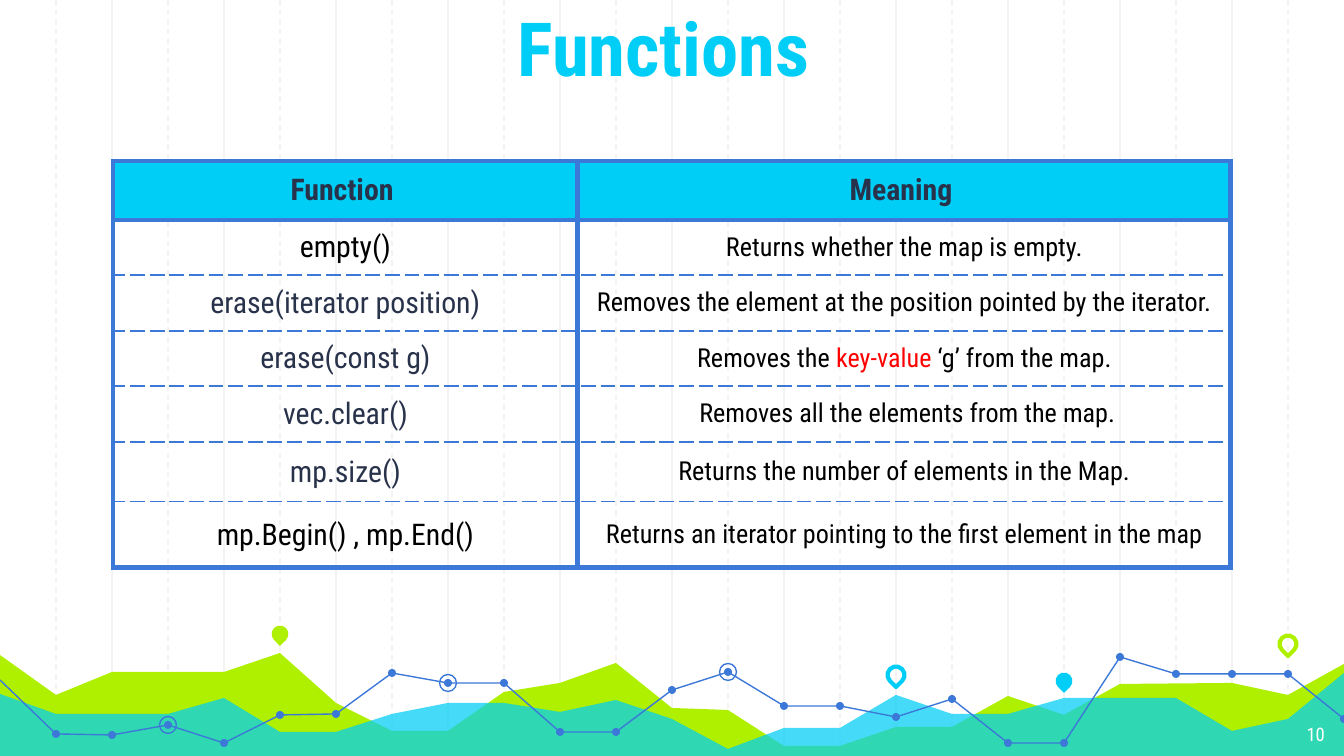
from lxml import etree
from pptx import Presentation
from pptx.dml.color import RGBColor
from pptx.enum.dml import MSO_LINE
from pptx.enum.shapes import MSO_CONNECTOR, MSO_SHAPE
from pptx.enum.text import MSO_ANCHOR, MSO_AUTO_SIZE, PP_ALIGN
from pptx.oxml.ns import qn
from pptx.util import Pt

SCALE = 914400 / 134.4  # EMU per px
WIDTH, HEIGHT = 1344, 756
STEP = 56  # distance between the vertical grid lines
BOTTOM = 759
FONT = "Roboto Condensed"

CYAN = RGBColor(0x00, 0xCE, 0xF6)
LIME = RGBColor(0xAF, 0xF0, 0x00)
BLUE = RGBColor(0x3C, 0x78, 0xD8)
NAVY = RGBColor(0x28, 0x32, 0x4A)
PALE = RGBColor(0xF3, 0xF3, 0xF3)
BLACK = RGBColor(0x00, 0x00, 0x00)
RED = RGBColor(0xFF, 0x00, 0x00)
WHITE = RGBColor(0xFF, 0xFF, 0xFF)

DASH = MSO_LINE.DASH
STRAIGHT = MSO_CONNECTOR.STRAIGHT
OVAL, TEARDROP = MSO_SHAPE.OVAL, MSO_SHAPE.TEAR
CENTER, RIGHT = PP_ALIGN.CENTER, PP_ALIGN.RIGHT
MIDDLE, LOW, TOP = MSO_ANCHOR.MIDDLE, MSO_ANCHOR.BOTTOM, MSO_ANCHOR.TOP

# Heights by grid step
LIME_HILLS = {0: 655, 1: 695, 2: 672, 4: 672, 5: 653, 6: 703, 7: 731, 8: 731,
              9: 692, 10: 683, 11: 663, 12: 708, 13: 710, 14: 746, 15: 746,
              16: 727, 17: 727, 18: 696, 19: 715, 20: 684, 22: 683, 23: 695,
              24: 664}
CYAN_HILLS = {0: 694, 1: 714, 3: 714, 4: 698, 5: 732, 6: 732, 7: 714, 8: 703,
              9: 703, 10: 712, 11: 700, 12: 719, 13: 749, 14: 728, 15: 728,
              16: 695, 17: 714, 18: 714, 19: 698, 21: 698, 22: 731, 23: 719,
              24: 673}
TREND = [680, 734, 735, 725, 743, 715, 714, 673, 683, 683, 732, 732, 690, 672,
         706, 706, 717, 699, 743, 743, 657, 674, 674, 674, 719]
TREND_PARTS = [(0, 11), (11, 20), (20, 24)]
RINGED = [3, 8, 13]
PINS = [(5, 634, LIME, True), (16, 675, CYAN, False),
        (19, 681, CYAN, True), (23, 644, LIME, False)]

COLUMNS = [465, 653]
ROWS = [59, 55, 56, 55, 56, 60, 66]
HEADINGS = ["Function ", "Meaning "]
FUNCTIONS = [
    ("empty()", BLACK, [("Returns whether the map is empty.", BLACK)]),
    ("erase(iterator position)", NAVY,
     [("Removes the element at the position pointed by the iterator.", BLACK)]),
    ("erase(const g)", NAVY,
     [("Removes the ", BLACK), ("key-value", RED),
      (" ‘g’ from the map.", BLACK)]),
    ("vec.clear()", NAVY,
     [(" Removes all the elements from the map.", BLACK)]),
    ("mp.size()", NAVY,
     [("Returns the number of elements in the Map.", BLACK)]),
    ("mp.Begin() , mp.End()", BLACK,
     [("Returns an iterator pointing to the first element in the map", BLACK)]),
]


def px(length):
    return round(length * SCALE)


def paint(shape, fill=None, line=None, width=0.75):
    shape.shadow.inherit = False
    if fill is None:
        shape.fill.background()
    else:
        shape.fill.solid()
        shape.fill.fore_color.rgb = fill
    if line is None:
        shape.line.fill.background()
    else:
        shape.line.color.rgb = line
        shape.line.width = Pt(width)


def add_grid_line(slide, step):
    x = px(step * STEP)
    grid_line = slide.shapes.add_connector(STRAIGHT, x, 0, x, px(BOTTOM))
    grid_line.line.color.rgb = PALE
    grid_line.line.width = Pt(0.75)
    if step % 2:
        grid_line.line.dash_style = DASH
    etree.SubElement(grid_line._element.spPr, qn("a:effectLst"))


def add_outline(slide, points, close):
    builder = slide.shapes.build_freeform(*points[0], scale=SCALE)
    builder.add_line_segments(points[1:], close=close)
    return builder.convert_to_shape()


def add_hills(slide, heights, color, opacity=100):
    points = [(step * STEP, y) for step, y in heights.items()]
    hills = add_outline(slide, points + [(WIDTH, BOTTOM), (0, BOTTOM)], True)
    paint(hills, fill=color)
    if opacity < 100:
        tint = hills._element.spPr.find(".//" + qn("a:srgbClr"))
        etree.SubElement(tint, qn("a:alpha"), val=str(opacity * 1000))


def add_marker(slide, kind, step, y, size, **colors):
    marker = slide.shapes.add_shape(kind, px(step * STEP - size / 2),
                                    px(y - size / 2), px(size), px(size))
    paint(marker, **colors)
    return marker


def add_trend(slide):
    for first, last in TREND_PARTS:
        points = [(step * STEP, TREND[step]) for step in range(first, last + 1)]
        paint(add_outline(slide, points, False), line=BLUE)
    for step, y in enumerate(TREND[1:], start=1):
        add_marker(slide, OVAL, step, y, 8, fill=BLUE)
    for step in RINGED:
        add_marker(slide, OVAL, step, TREND[step], 17, line=BLUE)


def add_pin(slide, step, y, color, solid):
    colors = {"fill": color} if solid else {"line": color, "width": 2.25}
    add_marker(slide, TEARDROP, step, y, 17, **colors).rotation = 135


def format_run(run, size, color, bold=False):
    run.font.name = FONT
    run.font.size = Pt(size)
    run.font.bold = bold
    run.font.color.rgb = color


def set_text(shape, text, size, color, align, anchor, bold=False):
    frame = shape.text_frame
    frame.text = text
    frame.word_wrap = True
    frame.auto_size = MSO_AUTO_SIZE.NONE
    frame.vertical_anchor = anchor
    frame.margin_left = frame.margin_right = px(13)
    frame.margin_top = frame.margin_bottom = px(13)
    frame.paragraphs[0].alignment = align
    format_run(frame.paragraphs[0].runs[0], size, color, bold)


def add_title(slide, text):
    title = slide.shapes.title
    title.left, title.top, title.width, title.height = 0, 0, px(WIDTH), px(105)
    set_text(title, text, 40, CYAN, CENTER, LOW, bold=True)
    slide.shapes._spTree.append(title._element)  # in front of the grid


def set_borders(cell, top_thick, bottom_thick):
    sides = [("lnL", True), ("lnR", True),
             ("lnT", top_thick), ("lnB", bottom_thick)]
    properties = cell._tc.get_or_add_tcPr()
    for place, (side, thick) in enumerate(sides):
        border = etree.Element(qn("a:" + side), w=str(Pt(3 if thick else 0.75)))
        fill = etree.SubElement(border, qn("a:solidFill"))
        etree.SubElement(fill, qn("a:srgbClr"), val=str(BLUE))
        etree.SubElement(border, qn("a:prstDash"),
                         val="solid" if thick else "dash")
        properties.insert(place, border)


def fill_cell(cell, pieces, size, bold=False):
    cell.vertical_anchor = MIDDLE
    cell.margin_left = cell.margin_right = px(13)
    cell.margin_top = cell.margin_bottom = px(9)
    paragraph = cell.text_frame.paragraphs[0]
    paragraph.alignment = CENTER
    for text, color in pieces:
        run = paragraph.add_run()
        run.text = text
        format_run(run, size, color, bold)


def add_function_table(slide):
    table = slide.shapes.add_table(len(ROWS), len(COLUMNS), px(113), px(161),
                                   px(sum(COLUMNS)), px(sum(ROWS))).table
    table.first_row = table.horz_banding = False
    for column, width in zip(table.columns, COLUMNS):
        column.width = px(width)
    for row, height in zip(table.rows, ROWS):
        row.height = px(height)

    for column, heading in enumerate(HEADINGS):
        cell = table.cell(0, column)
        fill_cell(cell, [(heading, NAVY)], 16, bold=True)
        cell.fill.solid()
        cell.fill.fore_color.rgb = CYAN
        set_borders(cell, True, True)

    for row, (name, color, meaning) in enumerate(FUNCTIONS, start=1):
        fill_cell(table.cell(row, 0), [(name, color)], 16)
        fill_cell(table.cell(row, 1), meaning, 14)
        for cell in table.rows[row].cells:
            cell.fill.background()
            set_borders(cell, row == 1, row == len(FUNCTIONS))


def main():
    deck = Presentation()
    deck.slide_width, deck.slide_height = px(WIDTH), px(HEIGHT)
    slide = deck.slides.add_slide(deck.slide_layouts[5])

    # Background grid: solid lines first, then dashed ones
    for step in [*range(2, 24, 2), *range(1, 24, 2)]:
        add_grid_line(slide, step)

    # Landscape along the bottom
    add_hills(slide, LIME_HILLS, LIME)
    add_hills(slide, CYAN_HILLS, CYAN, opacity=73)
    add_trend(slide)
    for pin in PINS:
        add_pin(slide, *pin)

    # Page number, title and table
    page_number = slide.shapes.add_textbox(px(1258), px(710), px(80), px(47))
    set_text(page_number, "10", 10, WHITE, RIGHT, TOP)
    add_title(slide, "Functions ")
    add_function_table(slide)

    deck.save("out.pptx")


if __name__ == "__main__":
    main()
